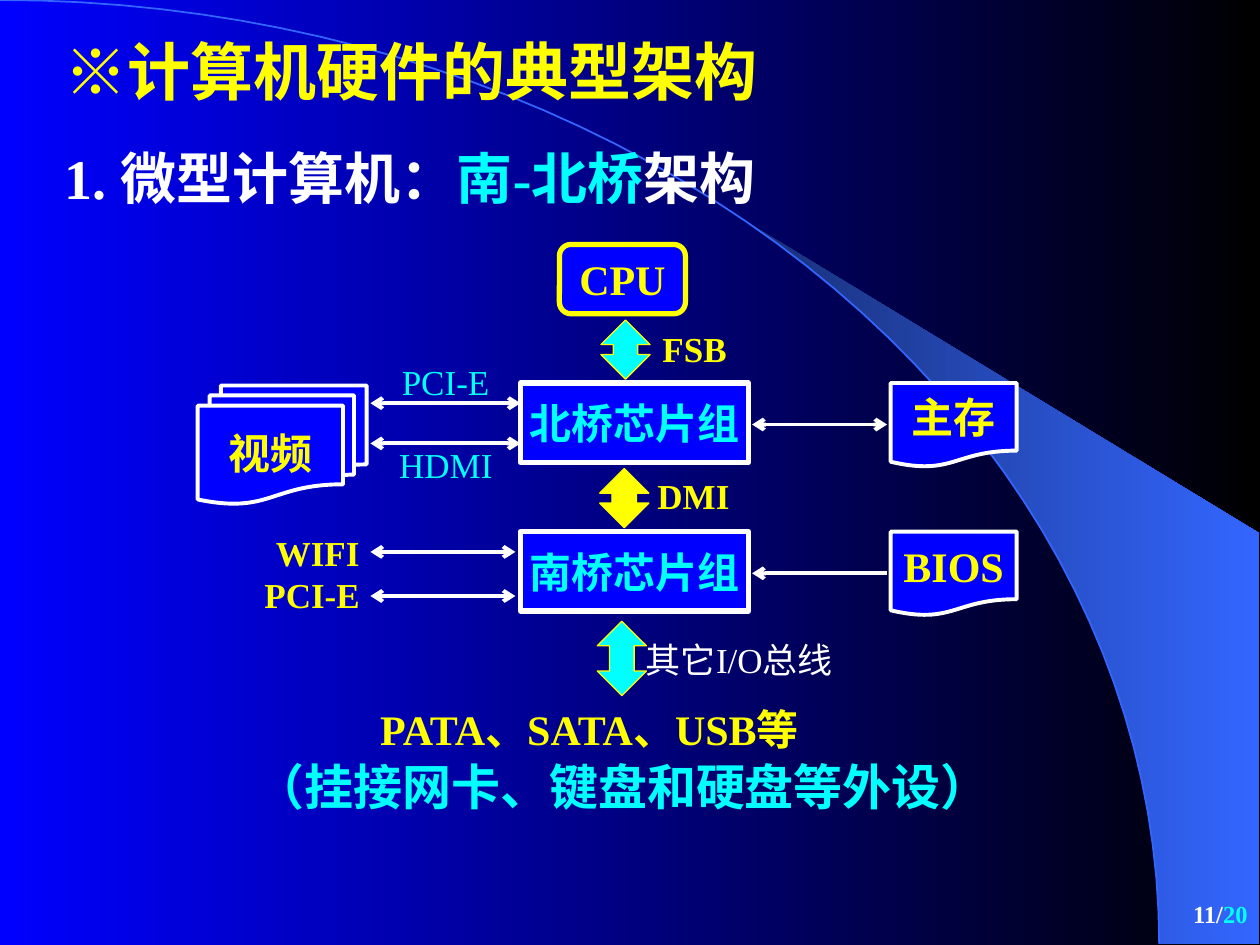
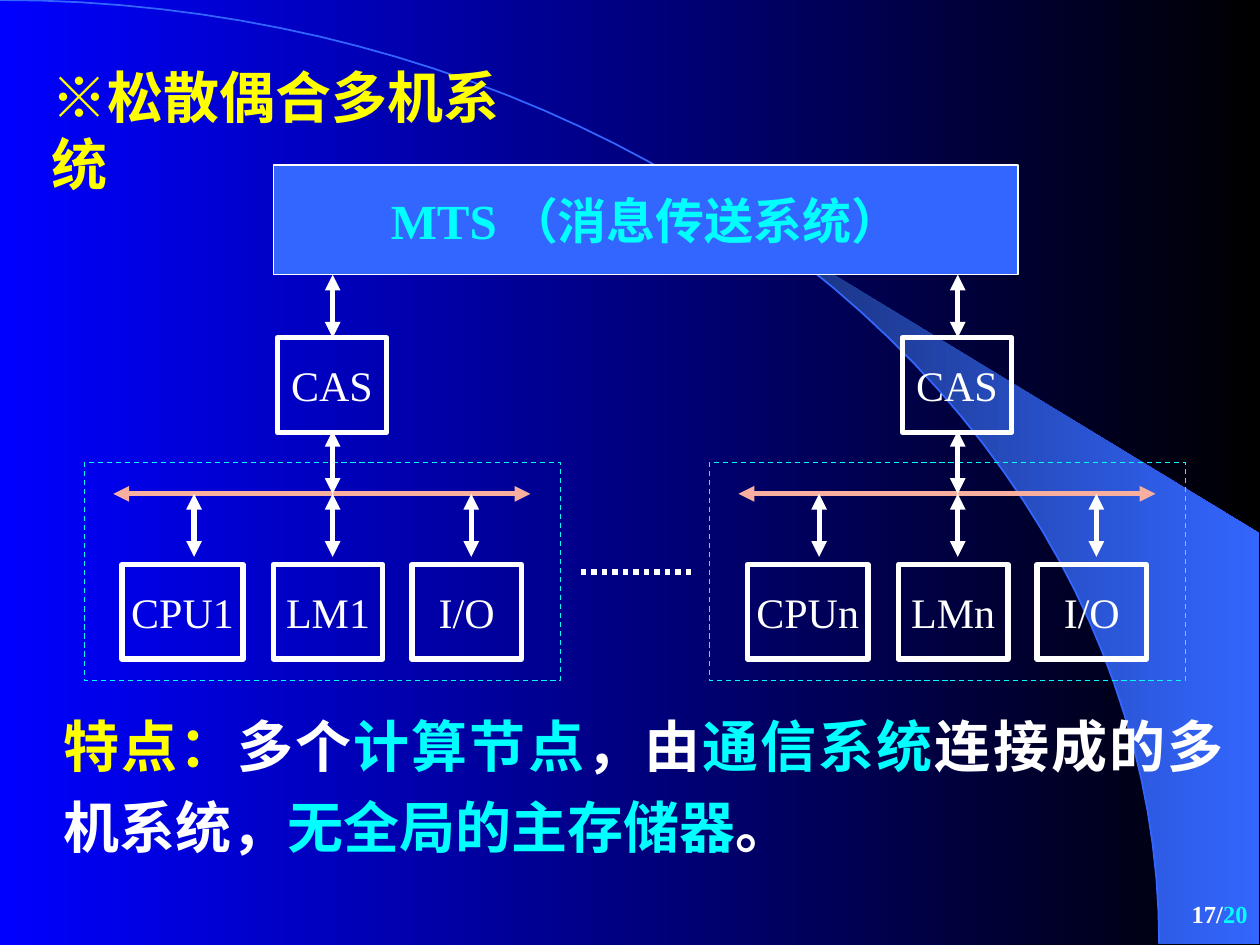
from math import cos, radians, sin

from pptx import Presentation
from pptx.dml.color import RGBColor
from pptx.enum.dml import MSO_LINE as Dash
from pptx.enum.shapes import MSO_CONNECTOR, MSO_SHAPE as Preset
from pptx.enum.text import MSO_ANCHOR as Anchor, MSO_AUTO_SIZE as AutoSize, PP_ALIGN as Align
from pptx.oxml.ns import qn
from pptx.oxml.xmlchemy import OxmlElement
from pptx.util import Pt

# Shared look
WIDTH, HEIGHT = 720, 540
BLUE, BLACK, WHITE = "0000FF", "000000", "FFFFFF"
YELLOW, CYAN, SALMON = "FFFF00", "00FFFF", "F8AFA0"
SKY, NAVY = "3366FF", "182F76"
SERIF, CJK = "Times New Roman", "Noto Sans CJK SC"
CJK_LINE = 1.21  # line height of Chinese text, in font sizes
PAGE_COUNT = "20"
PAGE_BOX = (570.2, 504, 149.8, 36)
ARC_WIDTH, ARC_HEIGHT, ARC_STEP = 662.4, 539.3, 2
SWEEP_ANGLE, SWEEP_RIGHT, SWEEP_TOP = 40, 719.3, 304.6

# Slide 1: bridge architecture
BRIDGES = {
    "page": "11",
    "title": ("计算机硬件的典型架构", 36, (29.5, 14.4, 642.2, 50)),
    "body": [("1. 微型计算机：", WHITE), ("南-北桥", CYAN), ("架构", WHITE)],
    "body_box": (29.5, 78, 642.2, 46),
}
# text, preset, box, text colour, line colour, line width
CHIPS = [
    ("CPU", Preset.FLOWCHART_ALTERNATE_PROCESS, (319.7, 139.7, 72, 39.6), YELLOW, YELLOW, 3),
    ("北桥芯片组", Preset.RECTANGLE, (297.4, 218.9, 130.3, 45.4), CYAN, WHITE, 3),
    ("南桥芯片组", Preset.RECTANGLE, (297.4, 303.8, 130.3, 45.4), CYAN, WHITE, 3),
    ("主存", Preset.FLOWCHART_DOCUMENT, (509, 218.9, 72, 48.2), YELLOW, WHITE, 2.25),
    ("BIOS", Preset.FLOWCHART_DOCUMENT, (509, 303.8, 72, 48.2), YELLOW, WHITE, 2.25),
    ("视频", Preset.FLOWCHART_MULTIDOCUMENT, (113, 220.3, 96.5, 67.7), YELLOW, WHITE, 2.25),
]
# left, right, y, arrowhead at the right end
LINKS = [
    (429.8, 506.9, 242.6, True),
    (429.8, 506.9, 327.6, False),
    (211.7, 297.4, 230.4, True),
    (211.7, 297.4, 253.4, True),
    (211.7, 294.5, 315.4, True),
    (211.7, 294.5, 340.6, True),
]
# box, head proportion, fill
BUSES = [
    ((343.4, 182.9, 28.1, 33.8), 0.24, CYAN),
    ((342.7, 267.8, 28.1, 33.8), 0.24, YELLOW),
    ((341.3, 355, 28.1, 42.5), 0.3, CYAN),
]
# text, box, size, colour, bold
LABELS = [
    ("PCI-E", (222.5, 202.3, 70, 31.7), 20, CYAN, False),
    ("HDMI", (221, 249.8, 74, 31.7), 20, CYAN, False),
    ("WIFI", (150.5, 300.2, 68, 31.7), 20, YELLOW, True),
    ("PCI-E", (144, 324, 76, 31.7), 20, YELLOW, True),
    ("FSB", (371.5, 183.6, 58, 31.7), 20, YELLOW, True),
    ("DMI", (368.6, 267.8, 62, 31.7), 20, YELLOW, True),
    ("其它I/O总线", (362, 361.4, 140, 31.7), 20, WHITE, False),
    ("PATA、SATA、USB等", (210.2, 398.2, 300, 36), 24, YELLOW, True),
    ("（挂接网卡、键盘和硬盘等外设）", (139, 428.4, 445, 41), 28, CYAN, True),
]

# Slide 2: loosely coupled system
CLUSTER = {
    "page": "17",
    "title": ("松散偶合多机系统", 32, (22.3, 31.7, 298, 46)),
    "body": [
        ("特点：", YELLOW), ("多个", WHITE), ("计算节点", CYAN), ("，由", WHITE),
        ("通信系统", CYAN), ("连接成的多机系统，", WHITE),
        ("无全局的主存储器", CYAN), ("。", WHITE),
    ],
    "body_box": (28.8, 394.6, 677.5, 99.4),
}
MTS = ("MTS （消息传送系统）", (156.2, 94.3, 425.5, 62.6))
# left edge of each node, then its units
NODES = [
    (48.2, ("CPU1", "LM1", "I/O")),
    (405.4, ("CPUn", "LMn", "I/O")),
]
# offset and width of each unit inside a node
UNIT_SLOTS = [(21.6, 69.1), (108, 62.6), (187.2, 62.6)]
NODE_TOP, NODE_WIDTH, NODE_HEIGHT = 264.2, 272.2, 124.6
UNIT_TOP, UNIT_HEIGHT = 322.6, 54
CAS_OFFSET, CAS_WIDTH, CAS_TOP = 110.2, 62.6, 193
BUS_Y, BUS_START, BUS_END = 282.2, 16.6, 254.9
ARROW_LENGTH, FIRST_ARROW, ARROW_PITCH = 36, 62.7, 79.2
DOTS = (331.9, 326.9, 397.4, 326.9)


def rgb(color):
    return RGBColor.from_string(color)


def points(box):
    return [Pt(length) for length in box]


def write(shape, runs, size, bold=False, align=Align.LEFT, wrap=False, spacing=1.0):
    """Fill the shape with one paragraph of (text, colour) runs."""
    frame = shape.text_frame
    frame.word_wrap = wrap
    paragraph = frame.paragraphs[0]
    paragraph.alignment = align
    if not all(text.isascii() for text, _ in runs):
        paragraph.line_spacing = Pt(round(size * CJK_LINE * spacing, 1))
    font = paragraph.font
    font.name, font.size, font.bold = SERIF, Pt(size), bold
    east_asian = OxmlElement("a:ea")
    east_asian.set("typeface", CJK)
    paragraph._p.pPr.find(qn("a:defRPr")).append(east_asian)
    same_color = len({color for _, color in runs}) == 1
    if same_color:
        font.color.rgb = rgb(runs[0][1])
    for text, color in runs:
        run = paragraph.add_run()
        run.text = text
        if not same_color:
            run.font.color.rgb = rgb(color)
    return paragraph


def paint(shape, fill, line, width):
    shape.shadow.inherit = False
    if fill:
        shape.fill.solid()
        shape.fill.fore_color.rgb = rgb(fill)
    else:
        shape.fill.background()
    if line:
        shape.line.color.rgb = rgb(line)
        shape.line.width = Pt(width)
    else:
        shape.line.fill.background()


def add_box(slide, preset, box, fill, line, width):
    shape = slide.shapes.add_shape(preset, *points(box))
    paint(shape, fill, line, width)
    return shape


def add_label(slide, box, runs, size, bold, align=Align.LEFT):
    label = slide.shapes.add_textbox(*points(box))
    write(label, runs, size, bold, align, wrap=True)
    return label


def add_line(slide, ends, color, width, head=None, tail=None, dash=None):
    link = slide.shapes.add_connector(MSO_CONNECTOR.STRAIGHT, *points(ends))
    link.line.color.rgb = rgb(color)
    link.line.width = Pt(width)
    if dash:
        link.line.dash_style = dash
    properties = link._element.spPr
    for tag, kind in (("a:headEnd", head), ("a:tailEnd", tail)):
        if kind:
            arrowhead = OxmlElement(tag)
            arrowhead.set("type", kind)
            properties.find(qn("a:ln")).append(arrowhead)
    properties.append(OxmlElement("a:effectLst"))


def set_gradient(fill, start, end):
    fill.gradient()
    fill.gradient_angle = 0
    for stop, color in zip(fill.gradient_stops, (start, end)):
        stop.color.rgb = rgb(color)


def add_outline(slide, vertices, close):
    start, *rest = [points(vertex) for vertex in vertices]
    builder = slide.shapes.build_freeform(*start, scale=1.0)
    builder.add_line_segments(rest, close=close)
    return builder.convert_to_shape()


def decorate_master(master, slide):
    """Build the arc and its sweep, then move them to the master."""
    set_gradient(master.background.fill, BLUE, BLACK)
    arc = [
        (ARC_WIDTH * sin(radians(angle)), ARC_HEIGHT * (1 - cos(radians(angle))))
        for angle in range(0, 91, ARC_STEP)
    ]
    corners = [(SWEEP_RIGHT, ARC_HEIGHT), (SWEEP_RIGHT, SWEEP_TOP)]
    sweep = add_outline(slide, arc[SWEEP_ANGLE // ARC_STEP:] + corners, True)
    paint(sweep, None, None, 0)
    set_gradient(sweep.fill, NAVY, SKY)
    curve = add_outline(slide, arc, False)
    paint(curve, None, SKY, 1)
    for shape in (sweep, curve):
        master.shapes._spTree.append(shape._element)


def place(placeholder, box):
    placeholder.left, placeholder.top, placeholder.width, placeholder.height = points(box)
    placeholder.text_frame.auto_size = AutoSize.NONE
    placeholder.text_frame.vertical_anchor = Anchor.TOP


def start_slide(slide, content, align, spacing):
    """Write the title, the body and the page number."""
    heading, size, box = content["title"]
    title = slide.shapes.title
    place(title, box)
    paragraph = write(title, [("※", YELLOW), (heading, YELLOW)], size, True, wrap=True)
    paragraph.runs[0].font.name = CJK

    body = slide.placeholders[1]
    place(body, content["body_box"])
    paragraph = write(body, content["body"], 32, True, align, True, spacing)
    paragraph.space_before = Pt(0)
    properties = paragraph._p.pPr
    properties.set("marL", "0")
    properties.set("indent", "0")
    properties.insert_element_before(OxmlElement("a:buNone"), "a:tabLst", "a:defRPr")

    page = add_label(slide, PAGE_BOX, [(content["page"] + "/", WHITE), (PAGE_COUNT, CYAN)],
                     14, True, Align.RIGHT)
    page.text_frame.vertical_anchor = Anchor.MIDDLE


def draw_bridges(slide):
    for text, preset, box, color, line, width in CHIPS:
        chip = add_box(slide, preset, box, BLUE, line, width)
        write(chip, [(text, color)], 24, True, Align.CENTER)
    for left, right, y, both_ways in LINKS:
        add_line(slide, (left, y, right, y), WHITE, 2.25, "arrow",
                 "arrow" if both_ways else None)
    for box, head, fill in BUSES:
        bus = add_box(slide, Preset.UP_DOWN_ARROW, box, fill, YELLOW, 0.75)
        bus.adjustments[0], bus.adjustments[1] = head, 0.5
    for text, box, size, color, bold in LABELS:
        add_label(slide, box, [(text, color)], size, bold)


def draw_unit(slide, text, box):
    unit = add_box(slide, Preset.RECTANGLE, box, None, WHITE, 3)
    write(unit, [(text, WHITE)], 24, align=Align.CENTER)


def draw_node(slide, left, units):
    frame = add_box(slide, Preset.RECTANGLE, (left, NODE_TOP, NODE_WIDTH, NODE_HEIGHT),
                    None, CYAN, 0.75)
    frame.line.dash_style = Dash.DASH
    add_line(slide, (left + BUS_START, BUS_Y, left + BUS_END, BUS_Y), SALMON, 3,
             "triangle", "triangle")
    for text, (offset, width) in zip(units, UNIT_SLOTS):
        draw_unit(slide, text, (left + offset, UNIT_TOP, width, UNIT_HEIGHT))
    draw_unit(slide, "CAS", (left + CAS_OFFSET, CAS_TOP, CAS_WIDTH, UNIT_HEIGHT))

    # One arrow per unit, and two on the middle column around CAS
    columns = [left + FIRST_ARROW + i * ARROW_PITCH for i in range(len(units))]
    arrows = [(x, BUS_Y) for x in columns]
    arrows += [(columns[1], BUS_Y - ARROW_LENGTH), (columns[1], CAS_TOP - ARROW_LENGTH)]
    for x, top in arrows:
        add_line(slide, (x, top, x, top + ARROW_LENGTH), WHITE, 3, "triangle", "triangle")


def draw_cluster(slide):
    text, box = MTS
    mts = add_box(slide, Preset.RECTANGLE, box, SKY, WHITE, 0.75)
    write(mts, [(text, CYAN)], 28, True, Align.CENTER)
    for left, units in NODES:
        draw_node(slide, left, units)
    add_line(slide, DOTS, WHITE, 3, dash=Dash.ROUND_DOT)


def main():
    deck = Presentation()
    deck.slide_width, deck.slide_height = Pt(WIDTH), Pt(HEIGHT)
    layout = deck.slide_layouts[1]
    bridges, cluster = (deck.slides.add_slide(layout) for _ in range(2))
    decorate_master(deck.slide_master, bridges)
    start_slide(bridges, BRIDGES, Align.LEFT, 1.0)
    draw_bridges(bridges)
    start_slide(cluster, CLUSTER, Align.JUSTIFY, 1.2)
    draw_cluster(cluster)
    deck.save("out.pptx")


if __name__ == "__main__":
    main()
